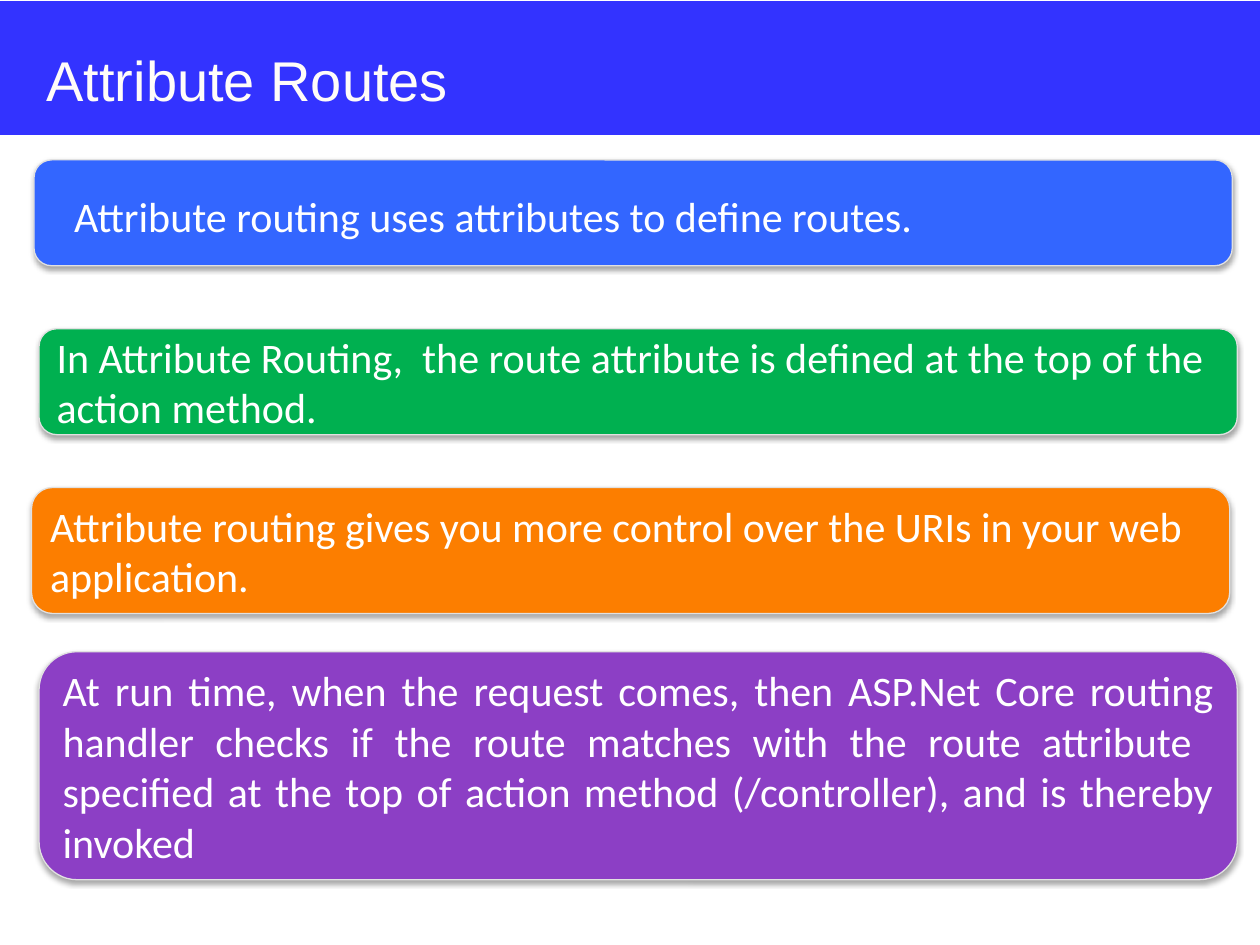
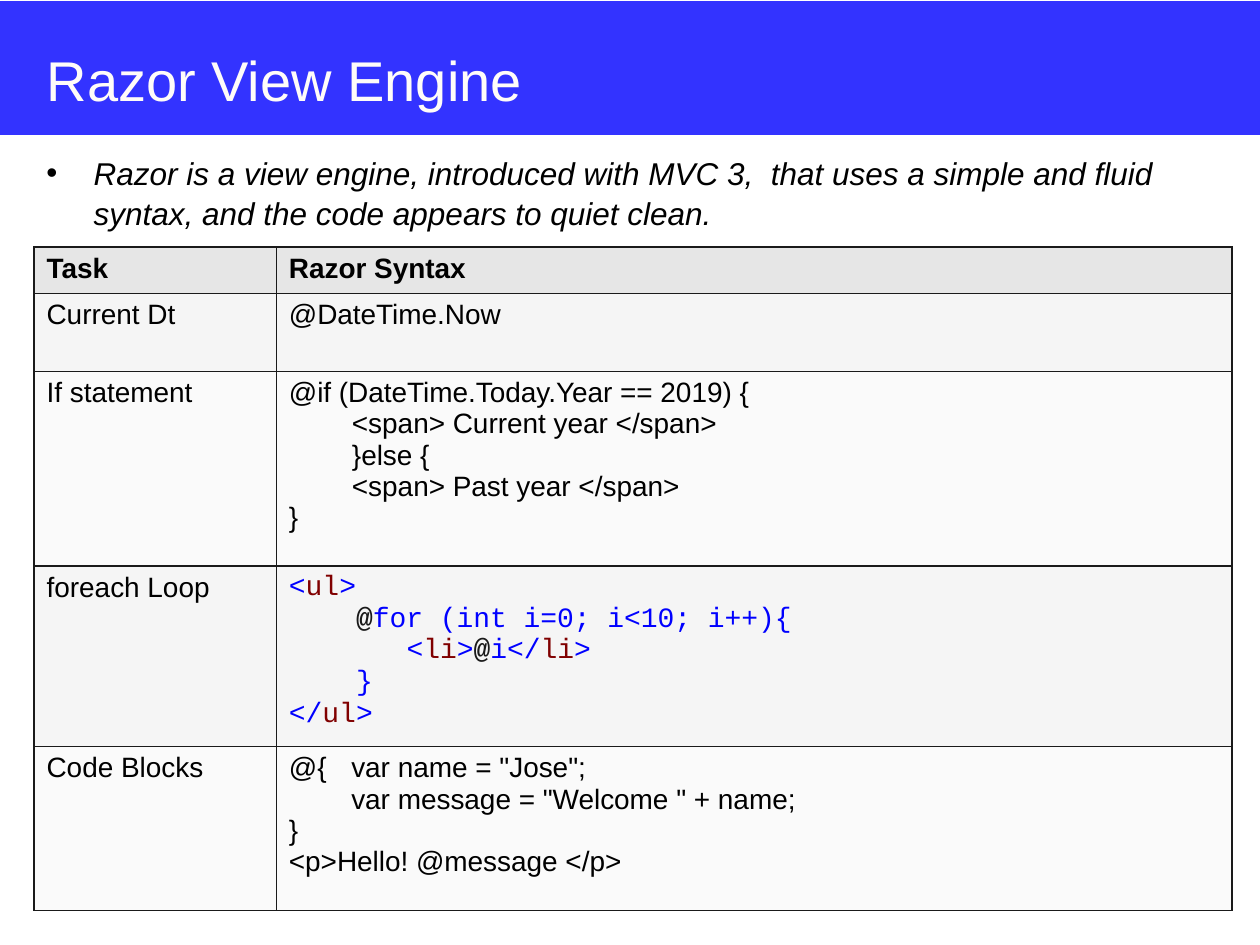
from dataclasses import dataclass

from lxml import etree
from pptx import Presentation
from pptx.dml.color import RGBColor
from pptx.enum.shapes import MSO_SHAPE
from pptx.enum.text import MSO_ANCHOR, MSO_AUTO_SIZE, PP_ALIGN
from pptx.oxml.ns import qn
from pptx.util import Pt

RECT, ROUND = MSO_SHAPE.RECTANGLE, MSO_SHAPE.ROUNDED_RECTANGLE
TOP, MIDDLE = MSO_ANCHOR.TOP, MSO_ANCHOR.MIDDLE
LEFT, JUST = PP_ALIGN.LEFT, PP_ALIGN.JUSTIFY
FIXED = MSO_AUTO_SIZE.NONE

COLORS = {
    "band": "3333FF", "title": "FFFCF9", "white": "FFFFFF", "black": "000000",
    "blue": "3366FF", "green": "00B050", "orange": "FC7E00", "purple": "8C3FC5",
    "edge": "E1E1E1", "rule": "1A1A1A", "code": "0000FF", "tag": "800000",
    "head": "E6E6E6", "odd": "F5F5F5", "even": "FAFAFA",
}
EDGE, WIDE = 19.44, 684.72
STEP = 9.6
TAB = 35.6


@dataclass(frozen=True)
class Style:
    font: str
    size: float
    color: str
    bold: bool = False
    italic: bool = False


@dataclass(frozen=True)
class Line:
    runs: tuple[tuple[str, Style], ...]
    left: float = 0
    tab: float = 0


@dataclass(frozen=True)
class Card:
    top: float
    high: float
    fill: str
    text: str = ""
    left: float = EDGE
    align: PP_ALIGN = LEFT


TITLE = Style("Arial", 32, "title")
CARD = Style("Calibri", 24, "white")
LEAD = Style("Arial", 18, "black", italic=True)
BODY = Style("Arial", 16, "black")
HEAD = Style("Arial", 16, "black", bold=True)
CODE = Style("Courier New", 16, "code")
TAG = Style("Courier New", 16, "tag")
MARK = Style("Courier New", 16, "rule", bold=True)


def rgb(name: str) -> RGBColor:
    return RGBColor.from_string(COLORS[name])


def node(parent, name: str, **attrs: str):
    return etree.SubElement(parent, qn(name), attrs)


def add_run(para, text: str, style: Style) -> None:
    run = para.add_run()
    run.text = text
    font = run.font
    font.name, font.size = style.font, Pt(style.size)
    font.bold, font.italic = style.bold, style.italic
    font.color.rgb = rgb(style.color)


def write(frame, lines: list[Line], align: PP_ALIGN = LEFT) -> None:
    for i, line in enumerate(lines):
        para = frame.add_paragraph() if i else frame.paragraphs[0]
        para.alignment = align
        props = para._p.get_or_add_pPr()
        if line.left:
            props.set("marL", str(Pt(line.left)))
            props.set("indent", "0")
        if line.tab:
            stops = node(props, "a:tabLst")
            node(stops, "a:tab", pos=str(Pt(line.tab)), algn="l")
        for text, style in line.runs:
            add_run(para, text, style)


def plain(text: str, style: Style = BODY, left: float = 0, tab: float = 0) -> Line:
    return Line(((text, style),), left, tab)


def add_band(slide) -> None:
    band = slide.shapes.add_shape(RECT, 0, Pt(0.72), Pt(720), Pt(76.4))
    band.shadow.inherit = False
    band.fill.solid()
    band.fill.fore_color.rgb = rgb("band")
    band.line.fill.background()
    band.element.xpath(".//p:cNvPr")[0].set("id", "99")
    slide.slide_layout.placeholders[0].element.addprevious(band.element)


def add_slide(deck, text: str):
    slide = deck.slides.add_slide(deck.slide_layouts[5])
    title = slide.shapes.title
    title.left, title.top = Pt(EDGE), Pt(20.16)
    title.width, title.height = Pt(WIDE), Pt(44.64)
    frame = title.text_frame
    frame.auto_size, frame.vertical_anchor = FIXED, MIDDLE
    frame.margin_top, frame.margin_bottom = Pt(6), 0
    write(frame, [plain(text, TITLE)])
    return slide


def add_text(slide, left: float, top: float, width: float, high: float):
    box = slide.shapes.add_textbox(Pt(left), Pt(top), Pt(width), Pt(high))
    frame = box.text_frame
    frame.word_wrap, frame.vertical_anchor = True, TOP
    return frame


def add_card(slide, card: Card) -> None:
    shape = slide.shapes.add_shape(
        ROUND, Pt(card.left), Pt(card.top), Pt(WIDE), Pt(card.high))
    shape.fill.solid()
    shape.fill.fore_color.rgb = rgb(card.fill)
    shape.line.color.rgb = rgb("edge")
    shape.line.width = Pt(0.75)
    shape.shadow.inherit = False
    effects = shape.element.spPr.find(qn("a:effectLst"))
    shade = node(effects, "a:outerShdw", blurRad=str(Pt(3.1)), dist=str(Pt(1.8)),
                 dir="5400000", rotWithShape="0")
    tint = node(shade, "a:srgbClr", val=COLORS["black"])
    node(tint, "a:alpha", val="35000")
    if card.text:
        frame = shape.text_frame
        frame.word_wrap, frame.vertical_anchor = True, MIDDLE
        write(frame, [plain(card.text, CARD)], card.align)


def add_lead(slide, text: str) -> None:
    frame = add_text(slide, EDGE, 83.5, 683.3, 50)
    write(frame, [plain(text, LEAD, 27)])
    para = frame.paragraphs[0]
    para.space_before, para.space_after = Pt(3.6), Pt(8)
    para.line_spacing = 1.05
    props = para._p.get_or_add_pPr()
    props.set("indent", str(-Pt(27)))
    node(props, "a:buFont", typeface="Arial")
    node(props, "a:buChar", char="•")


def add_rules(cell) -> None:
    props = cell._tc.get_or_add_tcPr()
    for i, side in enumerate("LRTB"):
        rule = etree.Element(qn(f"a:ln{side}"), w=str(Pt(1)))
        node(node(rule, "a:solidFill"), "a:srgbClr", val=COLORS["rule"])
        props.insert(i, rule)


def add_grid(slide, rows: list[tuple[str, list[Line]]], highs: list[float]) -> None:
    widths = [138.5, WIDE - 138.5]
    grid = slide.shapes.add_table(
        len(rows), len(widths), Pt(EDGE), Pt(141.1), Pt(WIDE), Pt(sum(highs))).table
    grid.first_row = grid.horz_banding = False
    for col, width in zip(grid.columns, widths):
        col.width = Pt(width)
    for i, (task, lines) in enumerate(rows):
        grid.rows[i].height = Pt(highs[i])
        fill = ("odd" if i % 2 else "even") if i else "head"
        label = [plain(task, BODY if i else HEAD)]
        for j, content in enumerate((label, lines)):
            cell = grid.cell(i, j)
            cell.fill.solid()
            cell.fill.fore_color.rgb = rgb(fill)
            add_rules(cell)
            write(cell.text_frame, content)


CARDS = [
    Card(91.4, 60.5, "blue"),
    Card(278.6, 72, "orange", "Attribute routing gives you more control over the URIs "
         "in your web application.", 18),
    Card(372.4, 130.3, "purple", "At run time, when the request comes, then ASP.Net Core "
         "routing handler checks if the route matches with the route attribute  "
         "specified at the top of action method (/controller), and is thereby invoked",
         22.3, JUST),
    Card(187.9, 60.5, "green", "In Attribute Routing,  the route attribute is defined "
         "at the top of the action method.", 22.3),
]

ROWS = [
    ("Task", [plain("Razor Syntax", HEAD)]),
    ("Current Dt", [plain("@DateTime.Now")]),
    ("If statement", [
        plain("@if (DateTime.Today.Year == 2019) {"),
        plain("<span> Current year </span>", left=36),
        plain("}else {", left=36),
        plain("<span> Past year </span>", left=36),
        plain("}"),
    ]),
    ("foreach Loop", [
        Line((("<", CODE), ("ul", TAG), (">", CODE))),
        Line((("@", MARK), ("for (int i=0; i<10; i++){", CODE)), 4 * STEP),
        Line((("<", CODE), ("li", TAG), (">", CODE), ("@", MARK),
              ("i</", CODE), ("li", TAG), (">", CODE)), 7 * STEP),
        plain("}", CODE, 4 * STEP),
        Line((("</", CODE), ("ul", TAG), (">", CODE))),
    ]),
    ("Code Blocks", [
        plain('@{\tvar name = "Jose";', tab=TAB),
        plain('var message = "Welcome " + name;', left=TAB),
        plain("}"),
        plain("<p>Hello! @message </p>"),
    ]),
]


def main() -> None:
    deck = Presentation()
    deck.slide_width, deck.slide_height = Pt(720), Pt(540)

    routes = add_slide(deck, "Attribute Routes")
    add_band(routes)
    for card in CARDS:
        add_card(routes, card)
    note = add_text(routes, 35.3, 105.1, 650.9, 36)
    write(note, [plain("Attribute routing uses attributes to define routes.", CARD)], JUST)

    razor = add_slide(deck, "Razor View Engine")
    add_lead(razor, "Razor is a view engine, introduced with MVC 3,  that uses a simple "
             "and fluid syntax, and the code appears to quiet clean.")
    add_grid(razor, ROWS, [26.5, 44.6, 111.2, 102, 93.8])

    deck.save("out.pptx")


main()
